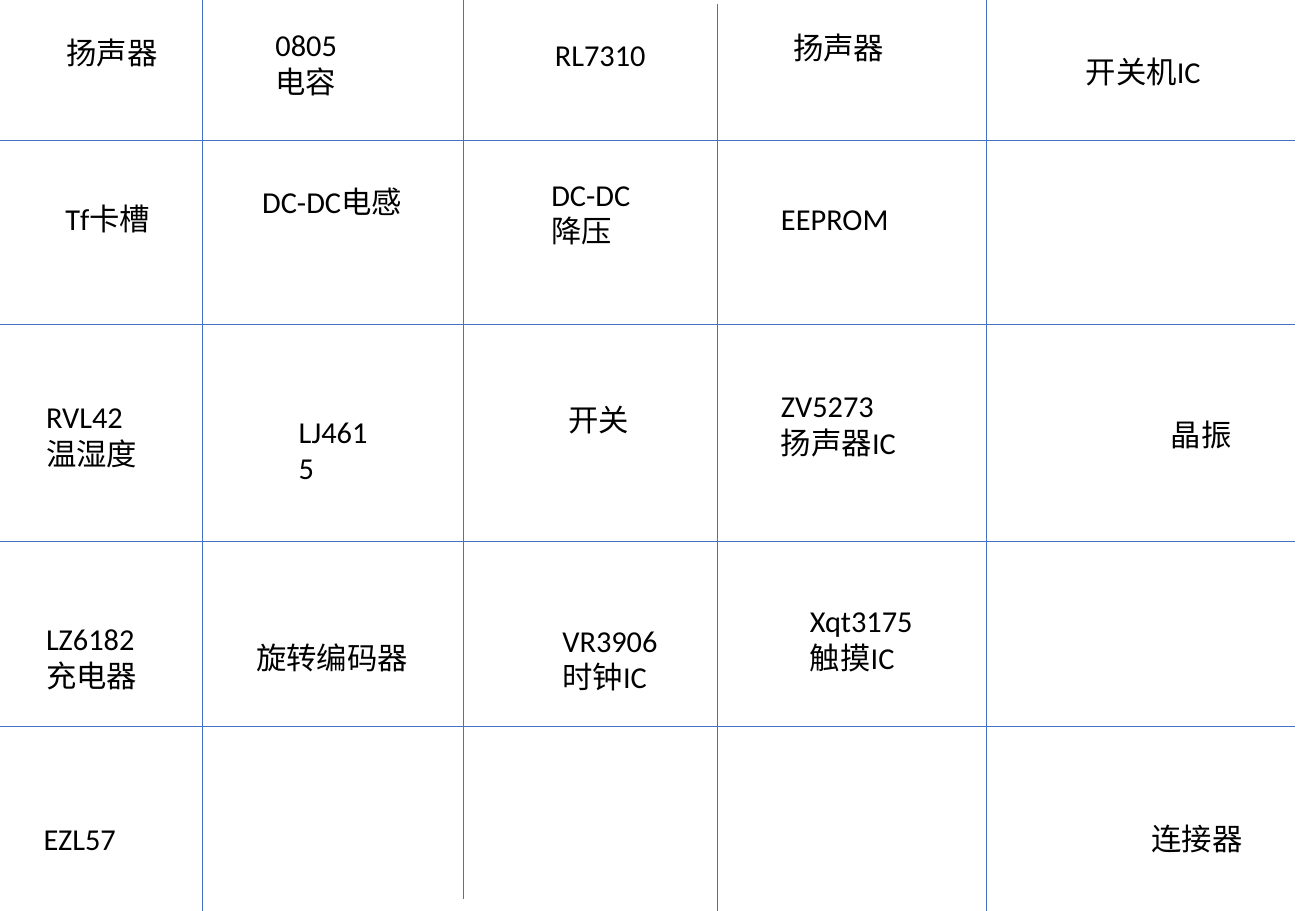
from pptx import Presentation
from pptx.dml.color import RGBColor
from pptx.enum.shapes import MSO_CONNECTOR
from pptx.enum.text import MSO_AUTO_SIZE
from pptx.oxml.ns import qn
from pptx.util import Pt
from lxml import etree

STRAIGHT = MSO_CONNECTOR.STRAIGHT
FIT = MSO_AUTO_SIZE.SHAPE_TO_FIT_TEXT
WIDE, HIGH = 780, 540
RIGHT = 767.5
FONT, SIZE = "Calibri", 18
BLACK, BLUE = "000000", "4472C4"
ONE, EXTRA = 29, 22

ROWS = [83.5, 192.2, 321.1, 430.6]
COLS = [(120.2, 0, HIGH), (274.5, 0, 532.8), (425.5, 2.2, HIGH), (584.8, 0, HIGH)]

PARTS = [
    (32.4, 16.6, 69.1, "扬声器"),
    (156.2, 12.2, 51.1, "0805\n电容"),
    (321.8, 18, 68.5, "RL7310"),
    (463, 13.7, 69.1, "扬声器"),
    (636.5, 28.1, 83.5, "开关机IC"),
    (31.7, 115.2, 65.5, "Tf卡槽"),
    (148.3, 105.1, 98.6, "DC-DC电感"),
    (319.7, 100.8, 61.9, "DC-DC\n降压"),
    (455.8, 115.2, 78.5, "EEPROM"),
    (20.2, 232.6, 69.1, "RVL42\n温湿度"),
    (169.9, 241.2, 64.1, "LJ4615"),
    (329.8, 234, 51.1, "开关"),
    (455.8, 226.1, 83.5, "ZV5273\n扬声器IC"),
    (686.9, 243.4, 51.1, "晶振"),
    (20.2, 364.3, 69.8, "LZ6182\n充电器"),
    (144.7, 375.1, 105.1, "旋转编码器"),
    (326.2, 365, 71.3, "VR3906\n时钟IC"),
    (473, 353.5, 76.5, "Xqt3175\n触摸IC"),
    (18.7, 482.4, 59, "EZL57"),
    (675.4, 482.4, 69.1, "连接器"),
]


def paint(color, code):
    color.rgb = RGBColor.from_string(code)


def label(slide, left, top, width, text):
    high = ONE + EXTRA * text.count("\n")
    box = slide.shapes.add_textbox(Pt(left), Pt(top), Pt(width), Pt(high))
    frame = box.text_frame
    frame.text = text
    frame.word_wrap = True
    frame.auto_size = FIT
    for para in frame.paragraphs:
        para.font.name = FONT
        para.font.size = Pt(SIZE)
        paint(para.font.color, BLACK)


def rule(slide, *ends):
    line = slide.shapes.add_connector(STRAIGHT, *map(Pt, ends))
    line.line.width = Pt(0.5)
    paint(line.line.color, BLUE)
    etree.SubElement(line._element.spPr, qn("a:effectLst"))


def main():
    deck = Presentation()
    deck.slide_width, deck.slide_height = Pt(WIDE), Pt(HIGH)
    slide = deck.slides.add_slide(deck.slide_layouts.get_by_name("Blank"))
    for part in PARTS:
        label(slide, *part)
    for y in ROWS:
        rule(slide, 0, y, RIGHT, y)
    for x, top, end in COLS:
        rule(slide, x, top, x, end)
    deck.save("out.pptx")


main()
